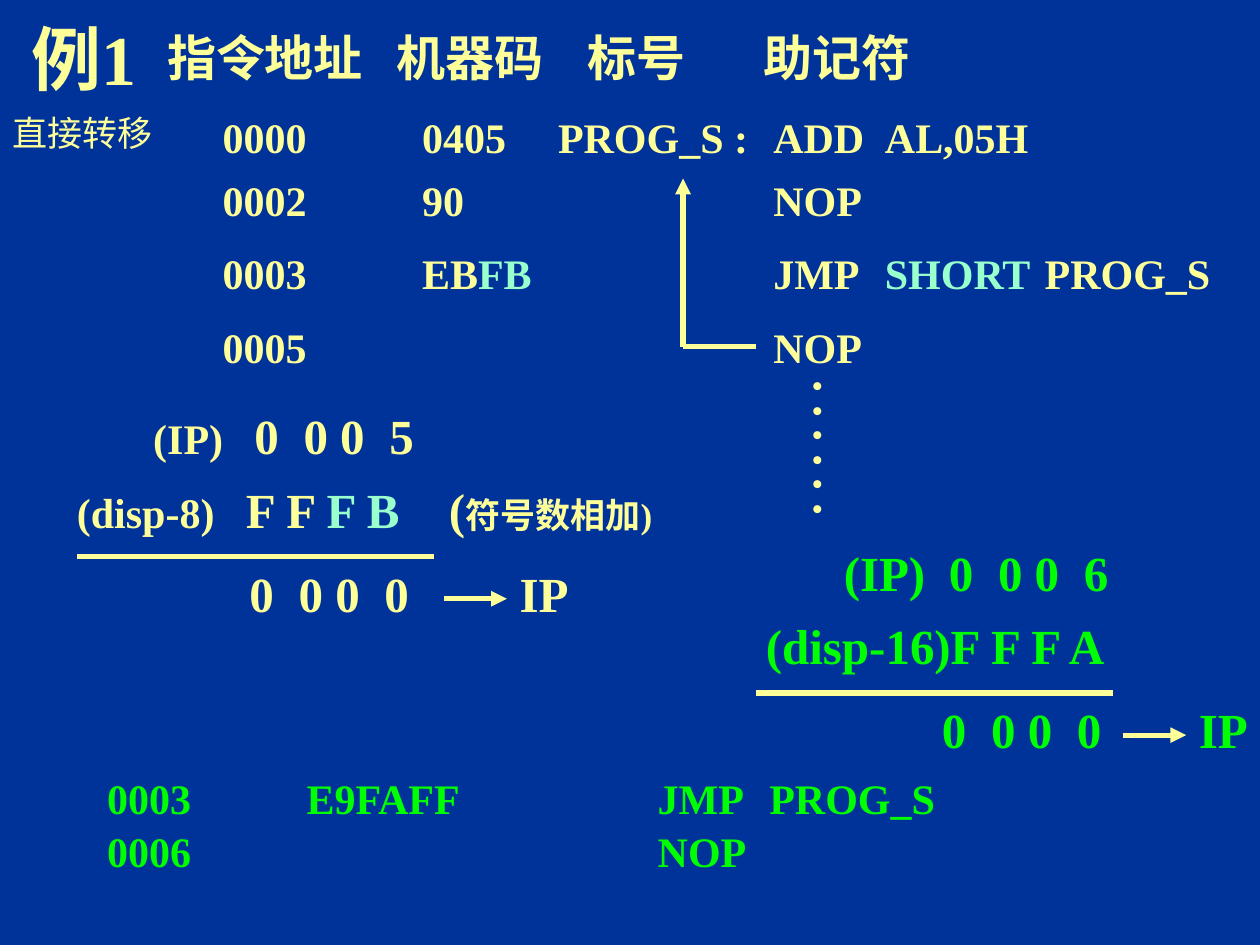
from dataclasses import dataclass

from lxml import etree
from pptx import Presentation
from pptx import util as u
from pptx.dml.color import RGBColor
from pptx.enum import shapes, text
from pptx.oxml import ns


@dataclass(frozen=True)
class Theme:
    back: str = "003399"
    main: str = "FFFF99"
    mark: str = "99FFCC"
    alt: str = "00FF00"
    font: str = "Times New Roman"
    title: int = 40
    head: int = 28
    code: int = 24
    note: int = 20
    line: int = 3


T = Theme()
LEFT, MID = text.PP_ALIGN.LEFT, text.PP_ALIGN.CENTER
LIST = (4.02, 6.76, 11.1, 13.35, 16.57)  # code, label, mnemonic, operands
SHORT = (4.02, 11.1, 13.35)              # the same without the label
DIGITS = (0.99, 1.73, 2.72)
ZERO = "0\t0\t0\t0"


def shift(first):
    """Tab stops for four digits, the first of them at a stop too."""
    return (first, *(first + d for d in DIGITS))


class Page:
    def __init__(self, deck, theme):
        self.theme = theme
        self.slide = deck.slides.add_slide(deck.slide_layouts[6])
        fill = self.slide.background.fill
        fill.solid()
        fill.fore_color.rgb = RGBColor.from_string(theme.back)

    def text(self, x, y, w, h, *runs, size=T.code, color=T.main, tabs=(),
             align=LEFT, bold=True, wrap=False, top=False, turn=0):
        """Each run is a string or a tuple (string, color, size)."""
        box = self.slide.shapes.add_textbox(*map(u.Cm, (x, y, w, h)))
        box.rotation = turn
        frame = box.text_frame
        frame.word_wrap = wrap or bool(tabs)
        frame.auto_size = text.MSO_AUTO_SIZE.SHAPE_TO_FIT_TEXT
        frame.vertical_anchor = (text.MSO_ANCHOR.TOP if top
                                 else text.MSO_ANCHOR.MIDDLE)
        para = frame.paragraphs[0]
        para.alignment = align
        if tabs:
            stops = etree.SubElement(para._p.get_or_add_pPr(), ns.qn("a:tabLst"))
            for pos in tabs:
                etree.SubElement(stops, ns.qn("a:tab"), pos=str(u.Cm(pos)), algn="l")
        for item in runs:
            words, tint, pts = (item, color, size) if isinstance(item, str) else item
            run = para.add_run()
            run.text = words
            run.font.name = self.theme.font
            run.font.size = u.Pt(pts)
            run.font.bold = bold
            run.font.color.rgb = RGBColor.from_string(tint)

    def line(self, x1, y1, x2, y2, arrow=False):
        link = self.slide.shapes.add_connector(
            shapes.MSO_CONNECTOR.STRAIGHT, *map(u.Cm, (x1, y1, x2, y2)))
        link.line.color.rgb = RGBColor.from_string(self.theme.main)
        link.line.width = u.Pt(self.theme.line)
        if arrow:
            etree.SubElement(link.line._get_or_add_ln(), ns.qn("a:tailEnd"),
                             type="triangle")
        etree.SubElement(link._element.spPr, ns.qn("a:effectLst"))

    def total(self, x, y, gap, color):
        """Rule under a sum, its result and the arrow to IP."""
        self.line(x, y, x + 7.19, y)
        self.text(x + gap, y, 3.8, 1.45, ZERO, size=T.head, color=color, tabs=DIGITS)
        self.line(x + 7.4, y + 0.85, x + 8.67, y + 0.85, arrow=True)
        self.text(x + 8.67, y, 1.5, 1.45, "IP", size=T.head, color=color, align=MID)


def main():
    deck = Presentation()
    deck.slide_width, deck.slide_height = u.Cm(25.4), u.Cm(19.05)
    page = Page(deck, T)

    page.text(0.2, 0.43, 2.97, 1.47, "例1", size=T.title, align=MID)
    page.text(3.12, 0.43, 15.6, 1.45, "指令地址\t机器码\t标号\t助记符",
              size=T.head, tabs=(4.62, 8.47, 12.02))
    page.text(0, 2.12, 3.81, 1.12, "直接转移", size=T.note, bold=False,
              wrap=True, top=True)

    rows = [
        (2.12, 16.9, ["0000\t0405\tPROG_S :\tADD\tAL,05H"]),
        (3.39, 13.4, ["0002\t90\t\tNOP"]),
        (4.87, 20.5, ["0003\tEB", ("FB", T.mark, T.code), "\t\tJMP\t",
                      ("SHORT", T.mark, T.code), "\tPROG_S"]),
        (6.35, 13.4, ["0005\t\t\tNOP"]),
    ]
    for y, w, runs in rows:
        page.text(4.24, y, w, 1.27, *runs, tabs=LIST)
    page.text(15.19, 8.31, 3.23, 1.45, ". . . . . .", size=T.head,
              align=MID, turn=90)

    # Jump back to the label
    page.line(13.77, 6.99, 15.24, 6.99)
    page.line(13.77, 6.99, 13.77, 3.6, arrow=True)

    # Sum with an 8-bit displacement
    page.text(2.84, 8.04, 5.9, 1.45, "(IP)", ("\t0\t0\t0\t5", T.main, T.head),
              tabs=shift(2.04))
    page.text(1.3, 9.53, 12.7, 1.45, "(disp-8)", ("\tF F ", T.main, T.head),
              ("F B", T.mark, T.head), ("\t(", T.main, T.head),
              ("符号数相加)", T.main, T.note), tabs=(3.41, 7.5))
    page.total(1.55, 11.22, 3.23, T.main)

    # Sum with a 16-bit displacement
    page.text(16.76, 10.8, 5.95, 1.45, "(IP)\t0\t0\t0\t6", size=T.head,
              color=T.alt, tabs=shift(2.12))
    page.text(15.19, 12.28, 7.49, 1.45, "(disp-16)F F F A", size=T.head,
              color=T.alt)
    page.total(15.24, 13.97, 3.5, T.alt)

    near = [(15.45, 17.4, "0003\tE9FAFF\tJMP\tPROG_S"),
            (16.51, 13.6, "0006\t\tNOP")]
    for y, w, words in near:
        page.text(1.91, y, w, 1.27, words, color=T.alt, tabs=SHORT)

    deck.save("out.pptx")


if __name__ == "__main__":
    main()
